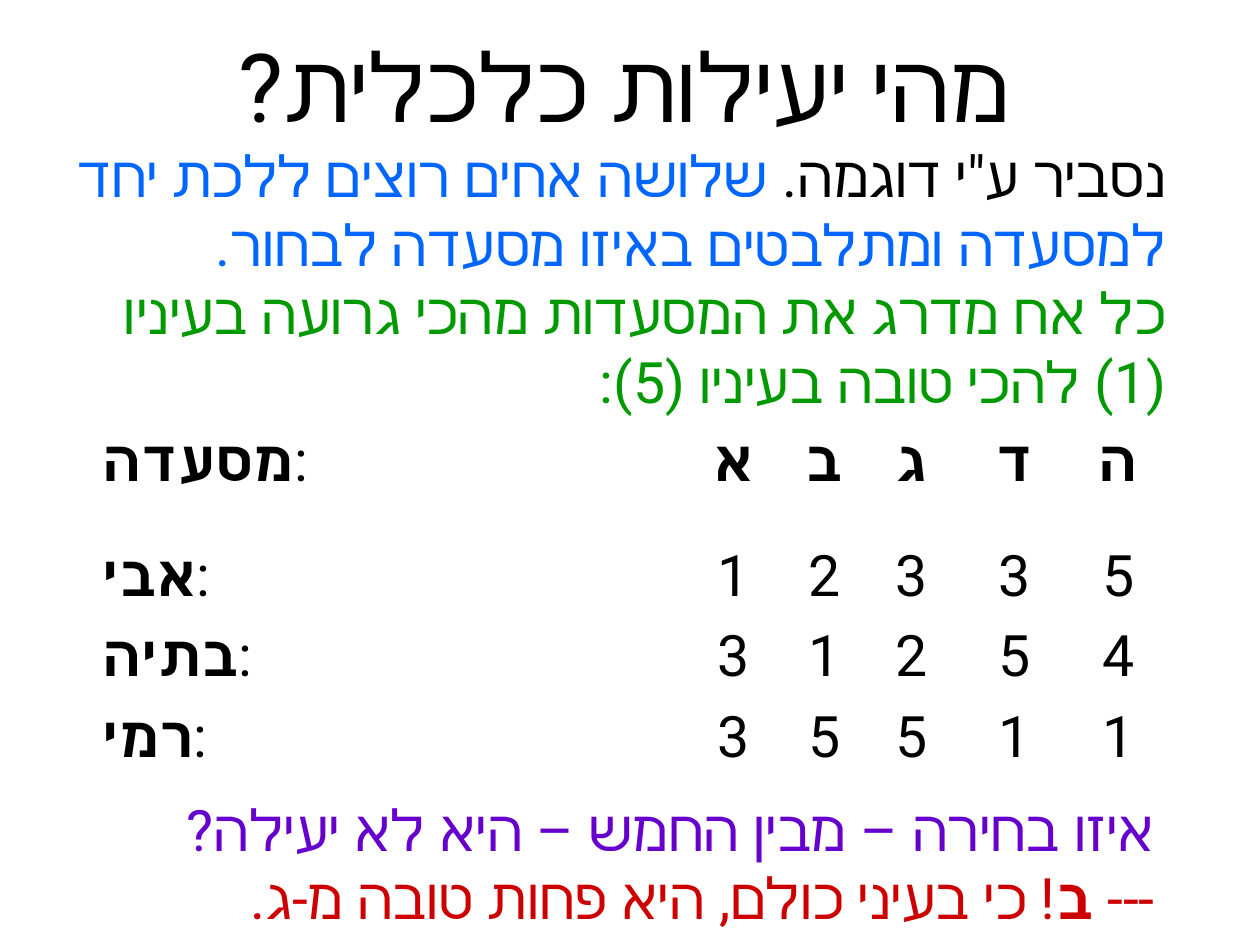
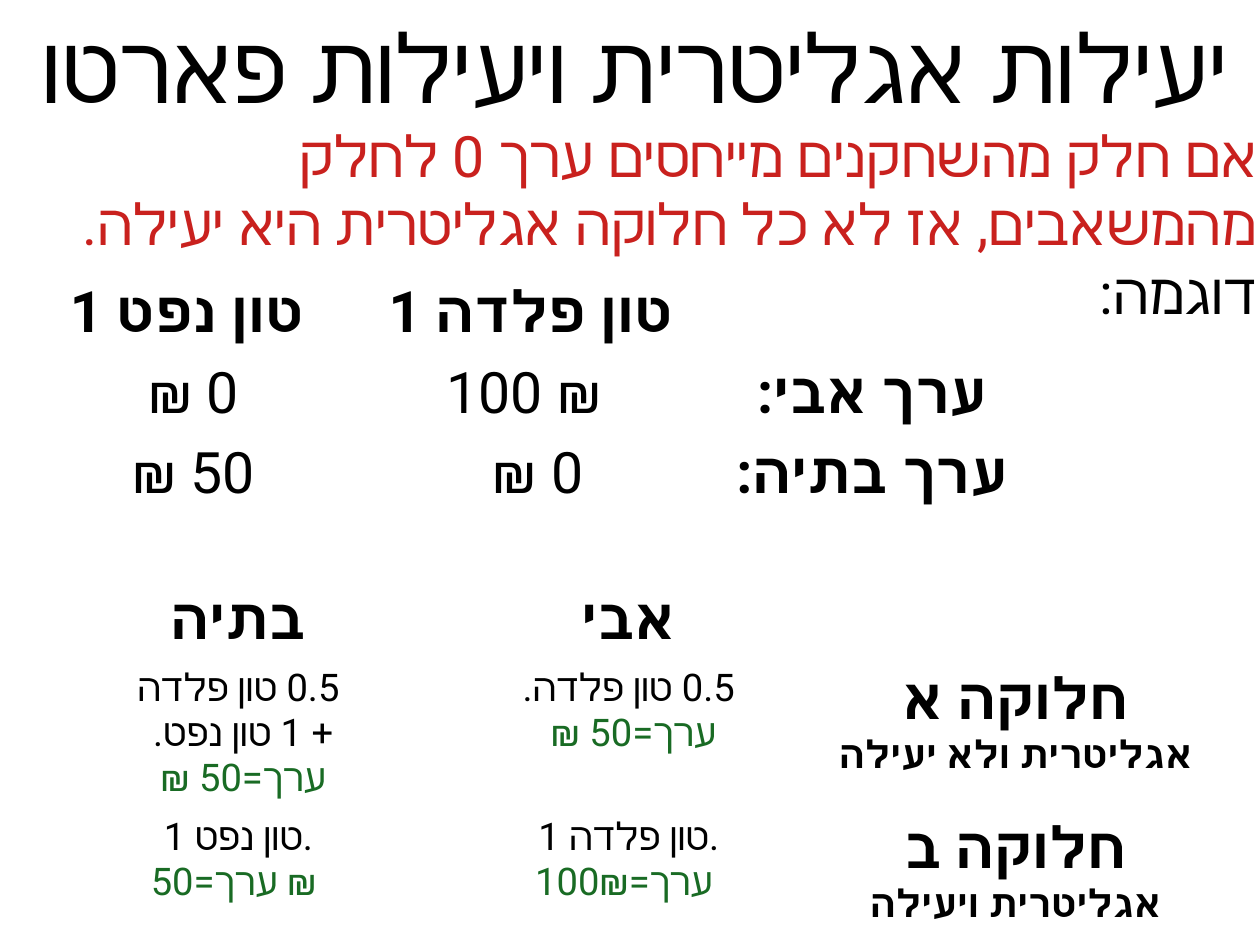
import pptx
import pptx.util
import pptx.dml.color
import pptx.enum.text
import pptx.oxml.ns
import lxml.etree

Pt = pptx.util.Pt
Align = pptx.enum.text.PP_ALIGN
Anchor = pptx.enum.text.MSO_ANCHOR
qn = pptx.oxml.ns.qn

FONT = "Roboto"
INK, BLUE, LIME = "000000", "0066FF", "009900"
PLUM, RED, BRICK, GREEN = "6600CC", "CC0000", "C9211E", "196B24"
HUGE, BIG, SMALL = 60, 36, 24


def run(text, color=INK, size=BIG, bold=False):
    return text, color, size, bold


def head(text, size=BIG):
    return [run(text, size=size, bold=True)]


def note(text, color=INK):
    return [run(text, color, SMALL)]


# Slide 1: each paragraph is a list of runs
ASK = {
    "title": ("מהי יעילות כלכלית?", (36, 21.6, 714.2, 63.4), 0),
    "story": [
        [run("נסביר ע\"י דוגמה. "),
         run("שלושה אחים רוצים ללכת יחד למסעדה ומתלבטים באיזו מסעדה לבחור.", BLUE)],
        [run("כל אח מדרג את המסעדות מהכי גרועה בעיניו (1) להכי טובה בעיניו (5):", LIME)],
    ],
    "answer": [
        [run("איזו בחירה – מבין החמש – היא לא יעילה?", PLUM)],
        [run("--- ", RED), run("ב", RED, bold=True),
         run("! כי בעיני כולם, היא פחות טובה מ-ג.", RED)],
    ],
}
RANKS = [
    ("מסעדה", "אבגדה"),
    ("אבי", "12335"),
    ("בתיה", "31254"),
    ("רמי", "35511"),
]

# Slide 2: a cell is (right to left, paragraphs)
PARETO = {
    "title": ("יעילות אגליטרית ויעילות פארטו", (0, 3.6, 799.2, 75.6), 7.2),
    "story": [
        [run("אם חלק מהשחקנים מייחסים ערך 0 לחלק מהמשאבים, "
             "אז לא כל חלוקה אגליטרית היא יעילה. ", BRICK), run("דוגמה:")],
    ],
}
VALUES = [
    [(False, [head("1 טון נפט")]), (False, [head("1 טון פלדה")]), None],
    [(False, [[run(" ₪ 0")]]), (False, [[run("100 ₪ ")]]), (True, [head("ערך אבי:")])],
    [(False, [[run(" ₪ 50")]]), (False, [[run(" ₪ 0")]]), (True, [head("ערך בתיה:")])],
]
SHARES = [
    [(False, [head("בתיה")]), (False, [head("אבי")]), None],
    [(True, [note("0.5 טון פלדה"), note("+ 1 טון נפט. "), note("ערך=50 ₪ ", GREEN)]),
     (True, [note("0.5 טון פלדה."), note("ערך=50 ₪ ", GREEN)]),
     (True, [head("חלוקה א"), head("אגליטרית ולא יעילה", SMALL)])],
    [(False, [note("1 טון נפט."), note("ערך=50 ₪ ", GREEN)]),
     (False, [note("1 טון פלדה."), note("ערך=100₪ ", GREEN)]),
     (True, [head("חלוקה ב"), head("אגליטרית ויעילה", SMALL)])],
]
ROWS = (49, 49, 56.9)


def paint(font, color):
    font.color.rgb = pptx.dml.color.RGBColor.from_string(color)


def write(frame, paras, align, rtl):
    for i, runs in enumerate(paras):
        para = frame.add_paragraph() if i else frame.paragraphs[0]
        para.alignment = align
        if rtl:
            para._p.get_or_add_pPr().set("rtl", "1")
        for text, color, size, bold in runs:
            part = para.add_run()
            part.text = text
            font = part.font
            font.name, font.size, font.bold = FONT, Pt(size), bold
            paint(font, color)
            # Hebrew takes its font from the complex-script element
            lxml.etree.SubElement(font._element, qn("a:cs"), typeface=FONT)


def add_text(slide, box, paras, align=Align.RIGHT, pad=7.2, anchor=Anchor.TOP):
    frame = slide.shapes.add_textbox(*map(Pt, box)).text_frame
    frame.word_wrap = True
    frame.vertical_anchor = anchor
    frame.margin_left = frame.margin_right = Pt(pad)
    frame.margin_top = frame.margin_bottom = Pt(pad / 2)
    write(frame, paras, align, True)


def add_grid(slide, left, top, cols, rows, cells):
    """Each cell is (rtl, paragraphs[, alignment]), or None when empty."""
    shape = slide.shapes.add_table(len(rows), len(cols), Pt(left), Pt(top),
                                   Pt(sum(cols)), Pt(sum(rows)))
    grid = shape.table
    grid.first_row = grid.horz_banding = False
    for col, width in zip(grid.columns, cols):
        col.width = Pt(width)
    for row, height, line in zip(grid.rows, rows, cells):
        row.height = Pt(height)
        for cell, item in zip(row.cells, line):
            cell.fill.background()
            if item:
                rtl, paras, *align = item
                write(cell.text_frame, paras, align[0] if align else Align.CENTER, rtl)


def add_slide(deck, topic, box):
    """Start a slide with its title and its opening text in box."""
    slide = deck.slides.add_slide(deck.slide_layouts[6])
    text, place, pad = topic["title"]
    add_text(slide, place, [[run(text, size=HUGE)]], Align.CENTER, pad, Anchor.MIDDLE)
    add_text(slide, box, topic["story"])
    return slide


def rank_row(name, marks):
    label = (False, [[run(name, bold=True), run(":")]], Align.LEFT)
    return [label] + [(False, [[run(m, bold=not m.isdigit())]]) for m in marks]


def main():
    deck = pptx.Presentation()
    deck.slide_width, deck.slide_height = Pt(793.6), Pt(595.3)

    slide = add_slide(deck, ASK, (36, 85, 705.6, 174.2))
    add_grid(slide, 57.6, 266.4, (374.4, 60.5, 53.3, 56.9, 72.7, 58.3),
             (72.7, 50.4, 49, 49), [rank_row(*r) for r in RANKS])
    add_text(slide, (43.2, 496.8, 691.2, 87.8), ASK["answer"])

    slide = add_slide(deck, PARETO, (16.6, 72, 782.6, 132.5))
    add_grid(slide, 0, 172.8, (235.4, 198, 231.8), ROWS, VALUES)
    add_grid(slide, 16.6, 365.8, (267.1, 224.6, 262.8), ROWS, SHARES)

    deck.save("out.pptx")


if __name__ == "__main__":
    main()
